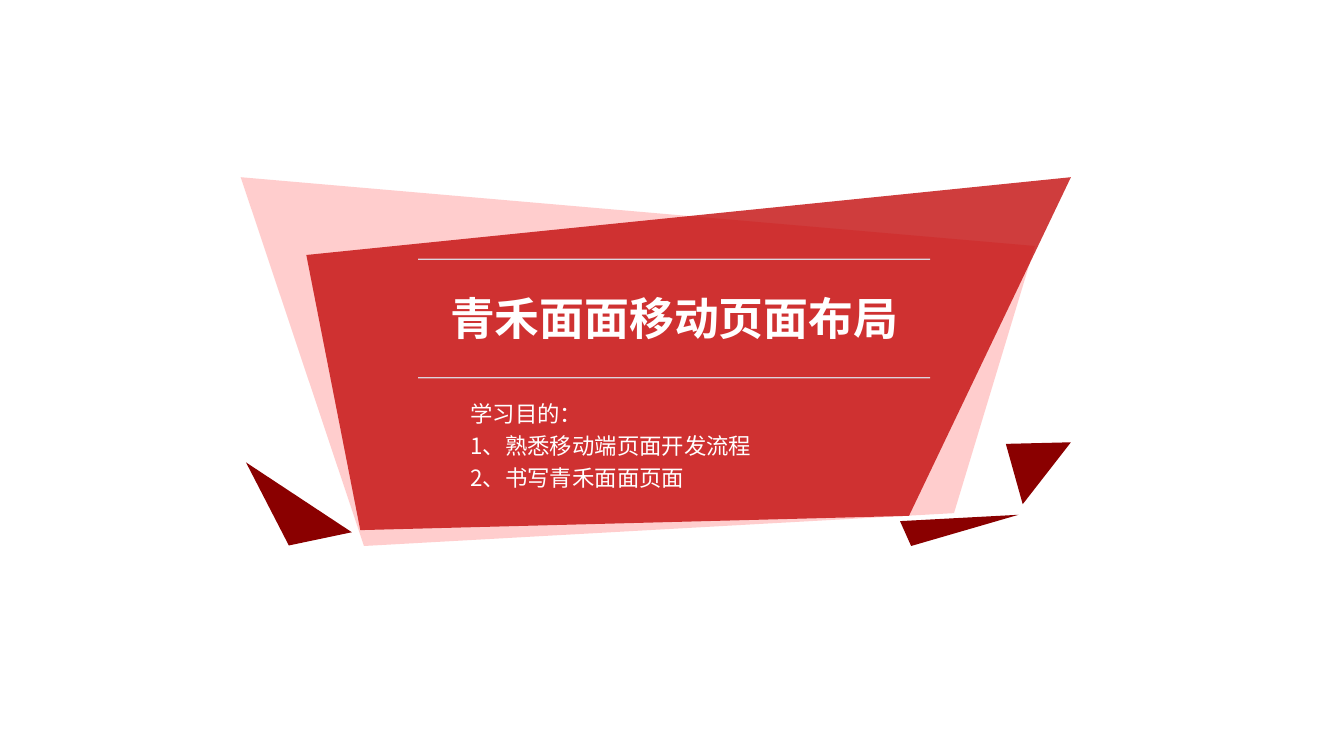
from lxml import etree
from pptx import Presentation, util as u
from pptx.dml.color import RGBColor
from pptx.enum import shapes, text
from pptx.oxml.ns import qn

theme = {
    "font": "Noto Sans CJK SC",
    "head": 24, "body": 12, "line": 0.75,
    "white": "FFFFFF", "dark": "8A0000", "pink": "FFBEBE",
    "red": "C00000", "rule": "DEEBF7",
}
head = ["青禾面面移动页面布局"]
goals = ["学习目的：", "1、熟悉移动端页面开发流程", "2、书写青禾面面页面"]
shards = [
    ("dark", 100, [(4.65, 8.74), (5.46, 10.31), (6.65, 10.06)]),
    ("pink", 76, [(4.55, 3.35), (19.56, 4.65), (18.03, 9.7), (6.88, 10.32)]),
    ("red", 76, [(5.79, 4.82), (20.24, 3.35), (17.18, 9.75), (6.81, 10.02)]),
    ("dark", 100, [(19.01, 8.39), (20.24, 8.36), (19.33, 9.53)]),
    ("dark", 100, [(17.01, 9.85), (19.25, 9.73), (17.22, 10.32)]),
]
band = (7.9, 4.9, 9.68, 2.24)
list_box = (8.89, 7.33, 7.09, 1.93)


def paint(fmt, key, alpha):
    fmt.solid()
    fmt.fore_color.rgb = RGBColor.from_string(theme[key])
    if alpha < 100:
        tone = fmt._xPr.find(".//" + qn("a:srgbClr"))
        etree.SubElement(tone, qn("a:alpha"), val=str(alpha * 1000))


def draw_shard(slide, key, alpha, pts):
    spots = [(u.Cm(x), u.Cm(y)) for x, y in pts]
    pen = slide.shapes.build_freeform(*spots[0])
    pen.add_line_segments(spots[1:], close=True)
    shard = pen.convert_to_shape()
    shard.shadow.inherit = False
    shard.line.fill.background()
    paint(shard.fill, key, alpha)


def draw_rule(slide, left, top, wide):
    rule = slide.shapes.add_connector(
        shapes.MSO_CONNECTOR.STRAIGHT,
        *map(u.Cm, (left, top, left + wide, top)))
    rule.line.width = u.Pt(theme["line"])
    paint(rule.line.fill, "rule", 87)
    etree.SubElement(rule._element.spPr, qn("a:effectLst"))


def fill_text(slide, hold, box, lines, size, bold, align, anchor,
              space, before, inset):
    slide.shapes.element.append(hold.element)
    hold.left, hold.top, hold.width, hold.height = map(u.Cm, box)
    frame = hold.text_frame
    frame.word_wrap = True
    frame.auto_size = text.MSO_AUTO_SIZE.NONE
    frame.vertical_anchor = anchor
    (frame.margin_left, frame.margin_top,
     frame.margin_right, frame.margin_bottom) = map(u.Cm, inset)
    for i, line in enumerate(lines):
        para = frame.add_paragraph() if i else frame.paragraphs[0]
        para.alignment = align
        para.line_spacing = space
        para.space_before = u.Pt(before)
        props = para._p.get_or_add_pPr()
        props.set("marL", "0")
        props.set("indent", "0")
        etree.SubElement(props, qn("a:buNone"))
        run = para.add_run()
        run.text = line
        font = run.font
        font.name, font.size, font.bold = theme["font"], u.Pt(size), bold
        font.color.rgb = RGBColor.from_string(theme["white"])
        etree.SubElement(run._r.get_or_add_rPr(), qn("a:ea"),
                         typeface=theme["font"])


def main():
    deck = Presentation()
    deck.slide_width = u.Cm(25.4)
    deck.slide_height = deck.slide_width * 9 // 16
    slide = deck.slides.add_slide(deck.slide_layouts[1])
    for shard in shards:
        draw_shard(slide, *shard)
    left, top, wide, high = band
    for y in (top, top + high):
        draw_rule(slide, left, y, wide)
    fill_text(slide, slide.shapes.title, band, head, theme["head"], True,
              text.PP_ALIGN.CENTER, text.MSO_ANCHOR.MIDDLE,
              0.9, 7.5, (0, 0.2, 0, 0.1))
    fill_text(slide, slide.placeholders[1], list_box, goals, theme["body"],
              False, text.PP_ALIGN.LEFT, text.MSO_ANCHOR.TOP,
              1.2, 0, (0, 0.13, 0.25, 0.13))
    deck.save("out.pptx")


if __name__ == "__main__":
    main()
